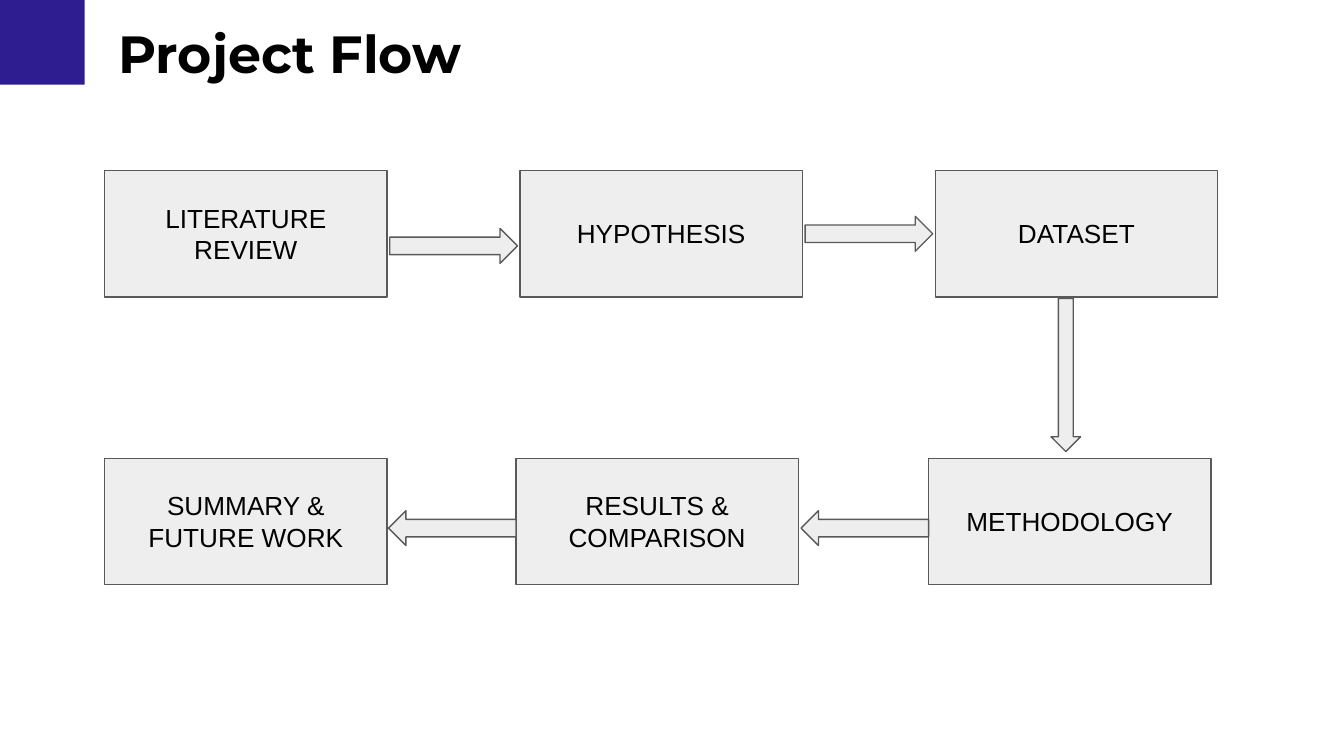
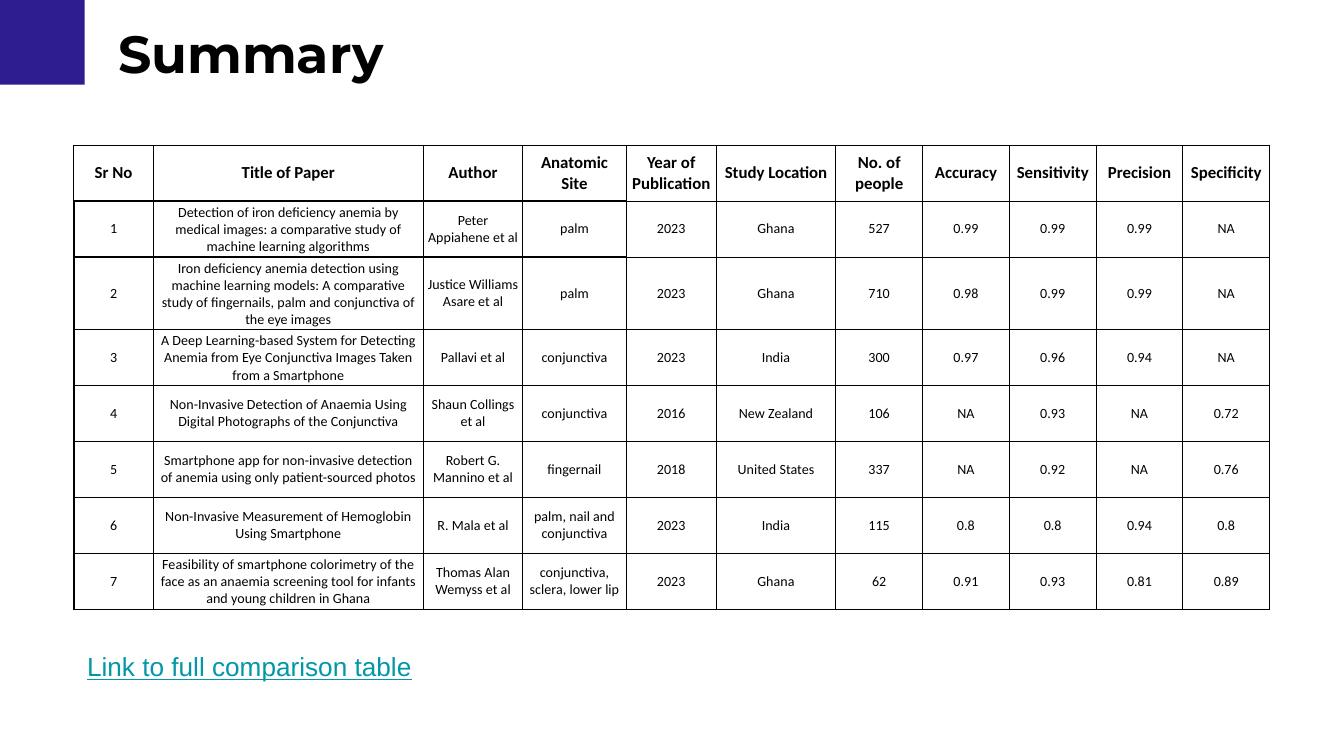
import pptx
import pptx.dml.color
import pptx.enum.shapes
import pptx.enum.text
import pptx.oxml
import pptx.oxml.ns
import pptx.util

Inches = pptx.util.Inches
Pt = pptx.util.Pt
SHAPE = pptx.enum.shapes.MSO_SHAPE
ALIGN = pptx.enum.text.PP_ALIGN
ANCHOR = pptx.enum.text.MSO_ANCHOR

BLACK = "000000"
INDIGO = "2E1D91"
LIGHT_GREY = "EEEEEE"
DARK_GREY = "595959"
TEAL = "0097A7"


def rgb(hex_code):
    return pptx.dml.color.RGBColor.from_string(hex_code)


def write(frame, text, size=14, font="Arial", color=BLACK, bold=False, underline=False,
          align=ALIGN.LEFT, anchor=ANCHOR.TOP, insets=(0.1, 0.1)):
    """Fill a text frame; each line of the text becomes a paragraph."""
    frame.text = text
    frame.word_wrap = True
    frame.vertical_anchor = anchor
    frame.margin_left = frame.margin_right = Inches(insets[0])
    frame.margin_top = frame.margin_bottom = Inches(insets[1])
    for paragraph in frame.paragraphs:
        paragraph.alignment = align
        for run in paragraph.runs:
            run.font.size = Pt(size)
            run.font.name = font
            run.font.bold = bold
            run.font.underline = underline
            run.font.color.rgb = rgb(color)


deck = pptx.Presentation()
deck.slide_width = Inches(10)
deck.slide_height = deck.slide_width * 9 // 16

# Shared look: corner square and title
slides = []
for heading in ("Project Flow", "Summary"):
    slide = deck.slides.add_slide(deck.slide_layouts[5])
    slides.append(slide)

    corner = slide.shapes.add_shape(SHAPE.RECTANGLE, 0, 0, Inches(0.63), Inches(0.63))
    corner.shadow.inherit = False
    corner.fill.solid()
    corner.fill.fore_color.rgb = rgb(INDIGO)
    corner.line.fill.background()

    title = slide.shapes.title
    title.left, title.top = Inches(0.78), Inches(0.06)
    title.width, title.height = Inches(8.44), Inches(0.67)
    title.text_frame.auto_size = pptx.enum.text.MSO_AUTO_SIZE.SHAPE_TO_FIT_TEXT
    write(title.text_frame, heading, size=28, font="Montserrat", bold=True)

flow_slide, summary_slide = slides

# Project flow: two rows of stages joined by block arrows
stage_width, stage_height = 2.1, 0.94
label_width = 2
stages = [
    (0.78, 1.27, 0.67, "LITERATURE\nREVIEW"),
    (3.87, 1.27, 0.44, "HYPOTHESIS"),
    (6.96, 1.27, 0.44, "DATASET"),
    (0.78, 3.41, 0.67, "SUMMARY & FUTURE WORK"),
    (3.84, 3.41, 0.67, "RESULTS & COMPARISON"),
    (6.91, 3.41, 0.44, "METHODOLOGY"),
]
flow_parts = [
    (SHAPE.RECTANGLE, left, top, stage_width, stage_height, label_height, label)
    for left, top, label_height, label in stages
]
flow_parts += [
    (SHAPE.RIGHT_ARROW, 2.9, 1.7, 0.95, 0.26, 0, ""),
    (SHAPE.RIGHT_ARROW, 5.99, 1.61, 0.95, 0.26, 0, ""),
    (SHAPE.DOWN_ARROW, 7.82, 2.22, 0.22, 1.14, 0, ""),
    (SHAPE.LEFT_ARROW, 5.96, 3.8, 0.95, 0.26, 0, ""),
    (SHAPE.LEFT_ARROW, 2.89, 3.8, 0.95, 0.26, 0, ""),
]
for kind, left, top, width, height, label_height, label in flow_parts:
    part = flow_slide.shapes.add_shape(
        kind, Inches(left), Inches(top), Inches(width), Inches(height))
    part.shadow.inherit = False
    part.fill.solid()
    part.fill.fore_color.rgb = rgb(LIGHT_GREY)
    part.line.color.rgb = rgb(DARK_GREY)
    part.line.width = Pt(0.75)
    if label:
        stage_label = flow_slide.shapes.add_textbox(
            Inches(left + (width - label_width) / 2),
            Inches(top + (height - label_height) / 2),
            Inches(label_width), Inches(label_height))
        write(stage_label.text_frame, label, align=ALIGN.CENTER)

# Summary: comparison of the papers
column_widths = [0.59, 2.01, 0.74, 0.77, 0.67, 0.89] + [3.23 / 5] * 5
papers = [
    ("Sr No", "Title of Paper", "Author", "Anatomic Site", "Year of Publication",
     "Study Location", "No. of people", "Accuracy", "Sensitivity", "Precision",
     "Specificity"),
    ("1", "Detection of iron deficiency anemia by medical images: a comparative "
     "study of machine learning algorithms", "Peter Appiahene et al", "palm",
     "2023", "Ghana", "527", "0.99", "0.99", "0.99", "NA"),
    ("2", "Iron deficiency anemia detection using machine learning models: A "
     "comparative study of fingernails, palm and conjunctiva of the eye images",
     "Justice Williams Asare et al", "palm",
     "2023", "Ghana", "710", "0.98", "0.99", "0.99", "NA"),
    ("3", "A Deep Learning-based System for Detecting Anemia from Eye Conjunctiva "
     "Images Taken from a Smartphone", "Pallavi et al", "conjunctiva",
     "2023", "India", "300", "0.97", "0.96", "0.94", "NA"),
    ("4", "Non-Invasive Detection of Anaemia Using Digital Photographs of the "
     "Conjunctiva", "Shaun Collings et al", "conjunctiva",
     "2016", "New Zealand", "106", "NA", "0.93", "NA", "0.72"),
    ("5", "Smartphone app for non-invasive detection of anemia using only "
     "patient-sourced photos", "Robert G. Mannino et al", "fingernail",
     "2018", "United States", "337", "NA", "0.92", "NA", "0.76"),
    ("6", "Non-Invasive Measurement of Hemoglobin Using Smartphone",
     "R. Mala et al", "palm, nail and conjunctiva",
     "2023", "India", "115", "0.8", "0.8", "0.94", "0.8"),
    ("7", "Feasibility of smartphone colorimetry of the face as an anaemia "
     "screening tool for infants and young children in Ghana",
     "Thomas Alan Wemyss et al", "conjunctiva, sclera, lower lip",
     "2023", "Ghana", "62", "0.91", "0.93", "0.81", "0.89"),
]
table_height = 3.33
comparison = summary_slide.shapes.add_table(
    len(papers), len(column_widths), Inches(0.55), Inches(1.08),
    Inches(sum(column_widths)), Inches(table_height)).table
comparison.first_row = False
comparison.horz_banding = False
for column, width in zip(comparison.columns, column_widths):
    column.width = Inches(width)

for row_index, paper in enumerate(papers):
    is_header = row_index == 0
    for column_index, entry in enumerate(paper):
        cell = comparison.cell(row_index, column_index)
        cell.fill.background()
        cell.vertical_anchor = ANCHOR.MIDDLE
        cell.margin_left = cell.margin_right = Inches(0.03)
        cell.margin_top = cell.margin_bottom = Inches(0.02)
        write(cell.text_frame, entry, size=9 if is_header else 7.5, font="Calibri",
              bold=is_header, align=ALIGN.CENTER, anchor=None, insets=(0.03, 0.02))

        border_width = Pt(0.75 if column_index < 4 and not is_header else 0.6)
        for position, edge in enumerate(("lnL", "lnR", "lnT", "lnB")):
            border = pptx.oxml.parse_xml(
                f'<a:{edge} {pptx.oxml.ns.nsdecls("a")} w="{border_width}">'
                f'<a:solidFill><a:srgbClr val="{BLACK}"/></a:solidFill></a:{edge}>')
            cell._tc.get_or_add_tcPr().insert(position, border)

table_link = summary_slide.shapes.add_textbox(
    Inches(0.55), Inches(4.74), Inches(2.86), Inches(0.44))
write(table_link.text_frame, "Link to full comparison table", color=TEAL, underline=True)

deck.save("out.pptx")
